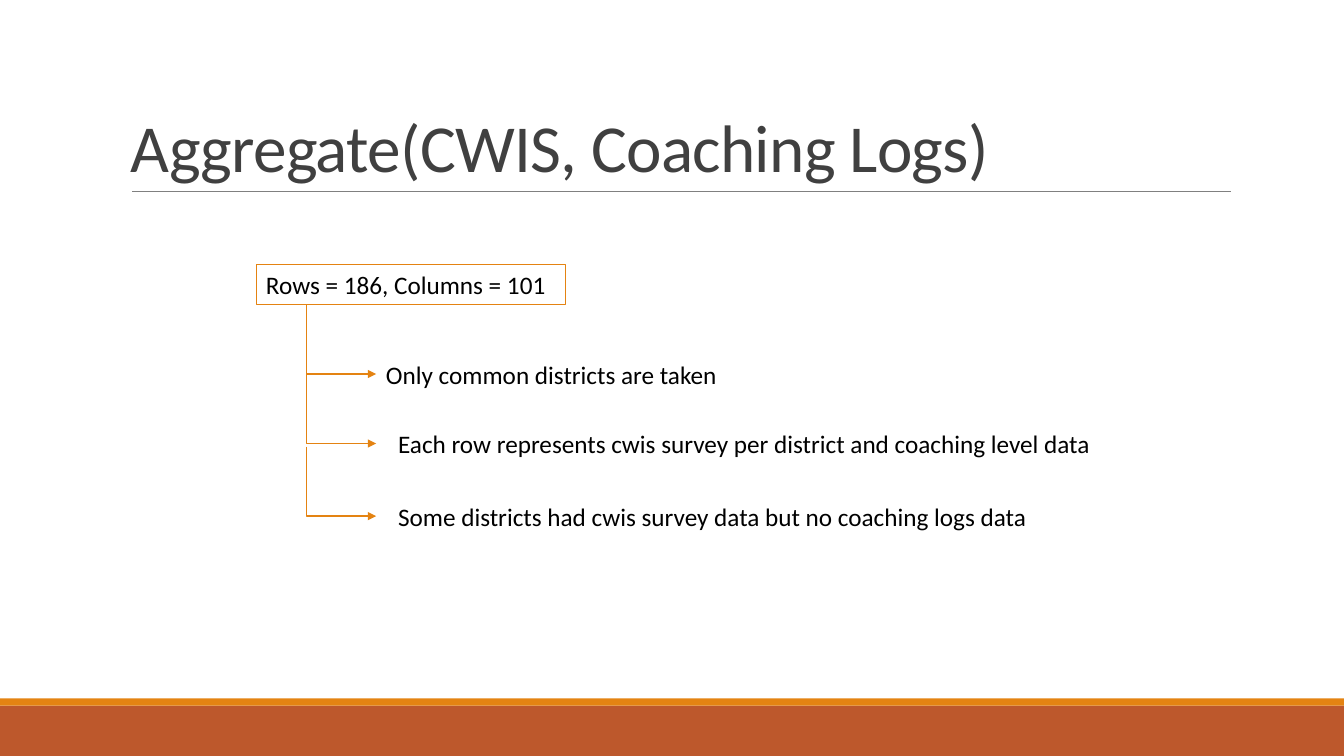
"""Build the slide on the aggregate of CWIS and coaching logs."""
from lxml.etree import SubElement
from pptx import Presentation
from pptx.dml.color import RGBColor
from pptx.enum.shapes import MSO_CONNECTOR, MSO_SHAPE
from pptx.enum.text import MSO_ANCHOR, PP_ALIGN
from pptx.oxml.ns import qn
from pptx.util import Inches, Pt

RUST = RGBColor(0xBD, 0x58, 0x2C)
ORANGE = RGBColor(0xE4, 0x83, 0x12)
GRAY = RGBColor(0x80, 0x80, 0x80)
DARK = RGBColor(0x40, 0x40, 0x40)
BLACK = RGBColor(0, 0, 0)


def write(shape, text, size=18, color=BLACK, wrap=True):
    frame = shape.text_frame
    frame.word_wrap = wrap
    para = frame.paragraphs[0]
    para.alignment = PP_ALIGN.LEFT
    run = para.add_run()
    run.text = text
    look = {"name": "Calibri", "size": Pt(size)}
    for key, value in look.items():
        setattr(run.font, key, value)
    run.font.color.rgb = color
    return para, run


def link(kind, start, end, color, width):
    line = slide.shapes.add_connector(kind, *map(Inches, start + end))
    line.line.color.rgb = color
    line.line.width = Pt(width)
    SubElement(line._element.spPr, qn("a:effectLst"))
    return line


deck = Presentation()
deck.slide_width = Inches(13.33)
deck.slide_height = Inches(7.5)
slide = deck.slides.add_slide(deck.slide_layouts[6])

for top, height, color in [(7, 0.5, RUST), (6.93, 0.07, ORANGE)]:
    band = slide.shapes.add_shape(
        MSO_SHAPE.RECTANGLE, 0, Inches(top), deck.slide_width, Inches(height))
    band.shadow.inherit = False
    band.fill.solid()
    band.fill.fore_color.rgb = color
    band.line.fill.background()

link(MSO_CONNECTOR.STRAIGHT, (1.31, 1.9), (12.21, 1.9), GRAY, 0.5)

title = slide.shapes.add_textbox(*map(Inches, (1.2, 0.31, 11, 1.59)))
title.text_frame.vertical_anchor = MSO_ANCHOR.BOTTOM
para, run = write(title, "Aggregate(CWIS, Coaching Logs)", 48, DARK)
para.line_spacing = 0.85
run.font._element.set("spc", "-50")

box = slide.shapes.add_shape(
    MSO_SHAPE.RECTANGLE, *map(Inches, (2.54, 2.62, 3.07, 0.4)))
box.shadow.inherit = False
box.fill.background()
box.line.color.rgb = ORANGE
box.line.width = Pt(0.75)
box.text_frame.vertical_anchor = MSO_ANCHOR.TOP
write(box, "Rows = 186, Columns = 101", wrap=False)

STEP = 0.69
notes = [
    (3.02, 3.73, 3.52, 4.35, "Only common districts are taken"),
    (3.71, 3.85, 4.2, 7.39,
     "Each row represents cwis survey per district and coaching level data"),
    (4.43, 3.85, 4.92, 7.39,
     "Some districts had cwis survey data but no coaching logs data"),
]
for start, left, top, width, text in notes:
    arrow = link(MSO_CONNECTOR.ELBOW, (3.04, start),
                 (3.04 + STEP, start + STEP), ORANGE, 1)
    bend = arrow._element.spPr.find(qn("a:prstGeom")).find(qn("a:avLst"))
    SubElement(bend, qn("a:gd"), name="adj1", fmla="val 0")
    SubElement(arrow.line._get_or_add_ln(), qn("a:tailEnd"), type="triangle")
    note = slide.shapes.add_textbox(*map(Inches, (left, top, width, 0.4)))
    write(note, text)

deck.save("out.pptx")
